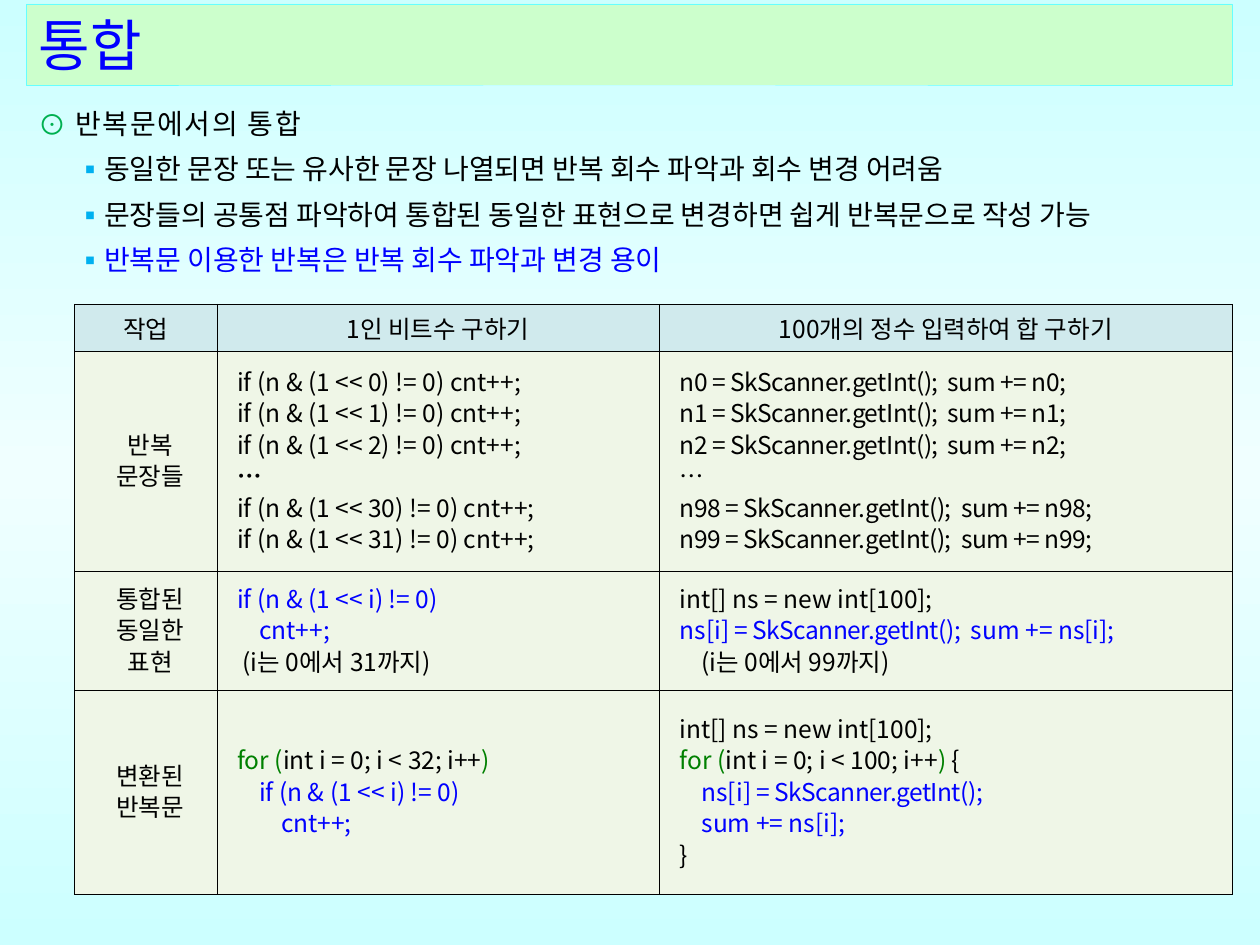
"""Build the Korean lecture slide on merging repeated statements into a loop."""
from lxml.etree import SubElement
from pptx import Presentation
from pptx.dml.color import RGBColor as Rgb
from pptx.enum.text import MSO_ANCHOR as Anchor, MSO_AUTO_SIZE as AutoSize, PP_ALIGN as Align
from pptx.oxml import parse_xml
from pptx.oxml.ns import nsdecls, qn
from pptx.util import Cm, Pt

COLORS = {
    "sky": "CCFFFF", "pale": "F0FFFF", "mint": "CCFFCC", "aqua": "66FFFF",
    "black": "000000", "blue": "0000FF", "keyword": "008000",
    "ring": "00B050", "square": "00B0F0", "header": "D0EAED", "cell": "EFF6E7",
}


class SlideWriter:
    """Holds the style and the current slide."""

    font = "Noto Sans CJK KR"

    def __init__(self, slide):
        self.slide = slide

    def color(self, name):
        return Rgb.from_string(COLORS[name])

    def style(self, span, size, color="black", spacing=0, bold=False):
        font = span.font
        font.size, font.name, font.bold = Pt(size), self.font, bold
        font.color.rgb = self.color(color)
        properties = span._r.get_or_add_rPr()
        properties.set("spc", str(round(spacing * 100)))
        east_asian = SubElement(properties, qn("a:ea"), typeface=self.font)
        properties.find(qn("a:latin")).addnext(east_asian)

    def background(self, names):
        fill = self.slide.background.fill
        fill.gradient()
        fill.gradient_angle = 270
        stops = next(self.slide._element.iter(qn("a:gsLst")))
        stops.clear()
        for index, name in enumerate(names):
            position = 100000 * index // (len(names) - 1)
            stop = SubElement(stops, qn("a:gs"), pos=str(position))
            SubElement(stop, qn("a:srgbClr"), val=COLORS[name])

    def title(self, text, left, top, width, height):
        box = self.slide.shapes.title
        box.left, box.top, box.width, box.height = map(Cm, (left, top, width, height))
        box.fill.solid()
        box.fill.fore_color.rgb = self.color("mint")
        box.line.color.rgb = self.color("aqua")
        box.line.width = Pt(0.25)
        frame = box.text_frame
        frame.text = text
        frame.auto_size = AutoSize.NONE
        frame.vertical_anchor = Anchor.MIDDLE
        para = frame.paragraphs[0]
        para.alignment = Align.LEFT
        self.style(para.runs[0], 32, "blue")

    def bullet(self, para, symbol, color, margin, hanging):
        properties = para._p.get_or_add_pPr()
        properties.set("marL", str(Cm(margin)))
        properties.set("indent", str(-Cm(hanging)))
        tint = SubElement(properties, qn("a:buClr"))
        SubElement(tint, qn("a:srgbClr"), val=COLORS[color])
        SubElement(properties, qn("a:buFont"), typeface=self.font)
        SubElement(properties, qn("a:buChar"), char=symbol)

    def bullets(self, heading, items, left, top, width, height):
        box = self.slide.shapes.add_textbox(*map(Cm, (left, top, width, height)))
        frame = box.text_frame
        frame.word_wrap = True
        frame.text = "\n".join([heading] + [text for text, _ in items])
        first, *rest = frame.paragraphs
        self.bullet(first, "⊙", "ring", 0.74, 0.74)
        self.style(first.runs[0], 16, spacing=1)
        for para, (_, color) in zip(rest, items):
            self.bullet(para, "▪", "square", 1.3, 0.54)
            self.style(para.runs[0], 16, color)
        for para in frame.paragraphs:
            para.line_spacing = Pt(26)

    def borders(self, cell):
        properties = cell._tc.get_or_add_tcPr()
        for index, side in enumerate("LRTB"):
            properties.insert(index, parse_xml(
                f'<a:ln{side} {nsdecls("a")} w="{Pt(0.28)}"><a:solidFill>'
                f'<a:srgbClr val="{COLORS["black"]}"/></a:solidFill></a:ln{side}>'))

    def cell(self, cell, lines, is_header, is_label):
        cell.fill.solid()
        cell.fill.fore_color.rgb = self.color("header" if is_header else "cell")
        self.borders(cell)
        centred = is_header or is_label
        cell.margin_left = Cm(0.18 if centred else 0.41)
        cell.margin_right = Cm(0.18)
        cell.margin_top = cell.margin_bottom = Cm(0.05)
        cell.vertical_anchor = Anchor.MIDDLE
        frame = cell.text_frame
        for index, line in enumerate(lines):
            para = frame.add_paragraph() if index else frame.paragraphs[0]
            para.alignment = Align.CENTER if centred else Align.LEFT
            margin = 0.18 if is_label and not is_header else 0
            if not is_header:
                para.line_spacing = Pt(18)
            for text, *look in [(line,)] if isinstance(line, str) else line:
                if look and look[0] == "note":
                    margin, look = look[1], []
                span = para.add_run()
                span.text = text
                self.style(span, 14, *look)
            para._p.get_or_add_pPr().set("marL", str(Cm(margin)))

    def table(self, rows, left, top, widths, heights):
        frame = self.slide.shapes.add_table(
            len(heights), len(widths), Cm(left), Cm(top), Cm(sum(widths)), Cm(sum(heights)))
        table = frame.table
        table.first_row = table.horz_banding = False
        for column, width in zip(table.columns, widths):
            column.width = Cm(width)
        for row, height in zip(table.rows, heights):
            row.height = Cm(height)
        for row_index, row in enumerate(rows):
            for column_index, lines in enumerate(row):
                self.cell(table.cell(row_index, column_index), lines,
                          row_index == 0, column_index == 0)


def shift_lines(numbers):
    return [f"if (n & (1 << {number}) != 0) cnt++;" for number in numbers]


def scan_lines(numbers):
    return [[(f"n{number} = SkScanner.getInt();  sum += n{number};", "black", -0.3)]
            for number in numbers]


def loop_head(condition, *tail):
    return [("for (", "keyword"), (condition,), (")", "keyword"), *tail]


BULLETS = [
    ("동일한 문장 또는 유사한 문장 나열되면 반복 회수 파악과 회수 변경 어려움", "black"),
    ("문장들의 공통점 파악하여 통합된 동일한 표현으로 변경하면 쉽게 반복문으로 작성 가능", "black"),
    ("반복문 이용한 반복은 반복 회수 파악과 변경 용이", "blue"),
]
ARRAY = "int[] ns = new int[100];"
BIT_TEST = "if (n & (1 << i) != 0)"
ROWS = [
    [["작업"], ["1인 비트수 구하기"], ["100개의 정수 입력하여 합 구하기"]],
    [["반복", "문장들"],
     shift_lines(range(3)) + [[("…", "black", 0, True)]] + shift_lines((30, 31)),
     scan_lines(range(3)) + [[("…", "black", -0.3)]] + scan_lines((98, 99))],
    [["통합된", "동일한 표현"],
     [[(BIT_TEST, "blue")], [("    cnt++;", "blue")],
      [("(i는 0에서 31까지)", "note", 0.11)]],
     [ARRAY,
      [("ns[i]", "blue"), (" = SkScanner.getInt();  ", "blue", -0.3),
       ("sum += ns[i];", "blue")],
      [("(i는 0에서 99까지)", "note", 0.44)]]],
    [["변환된 반복문"],
     [loop_head("int i = 0; i < 32; i++"), [("    " + BIT_TEST, "blue")],
      [("        cnt++;", "blue")]],
     [ARRAY, loop_head("int i = 0; i < 100; i++", (" {",)),
      [("    ns[i]", "blue"), (" = SkScanner.getInt();", "blue", -0.3)],
      [("    sum += ns[i];", "blue")], "}"]],
]


def main():
    deck = Presentation()
    deck.slide_width, deck.slide_height = Cm(25.4), Cm(19.05)
    writer = SlideWriter(deck.slides.add_slide(deck.slide_layouts[5]))
    writer.background(["sky", "pale", "sky"])
    writer.title("통합", 0.53, 0.08, 24.31, 1.63)
    writer.bullets("반복문에서의 통합", BULLETS, 0.53, 1.78, 24.51, 3.96)
    writer.table(ROWS, 1.5, 6.13, [2.87, 8.92, 11.56], [0.95, 4.44, 2.4, 4.11])
    deck.save("out.pptx")


if __name__ == "__main__":
    main()
